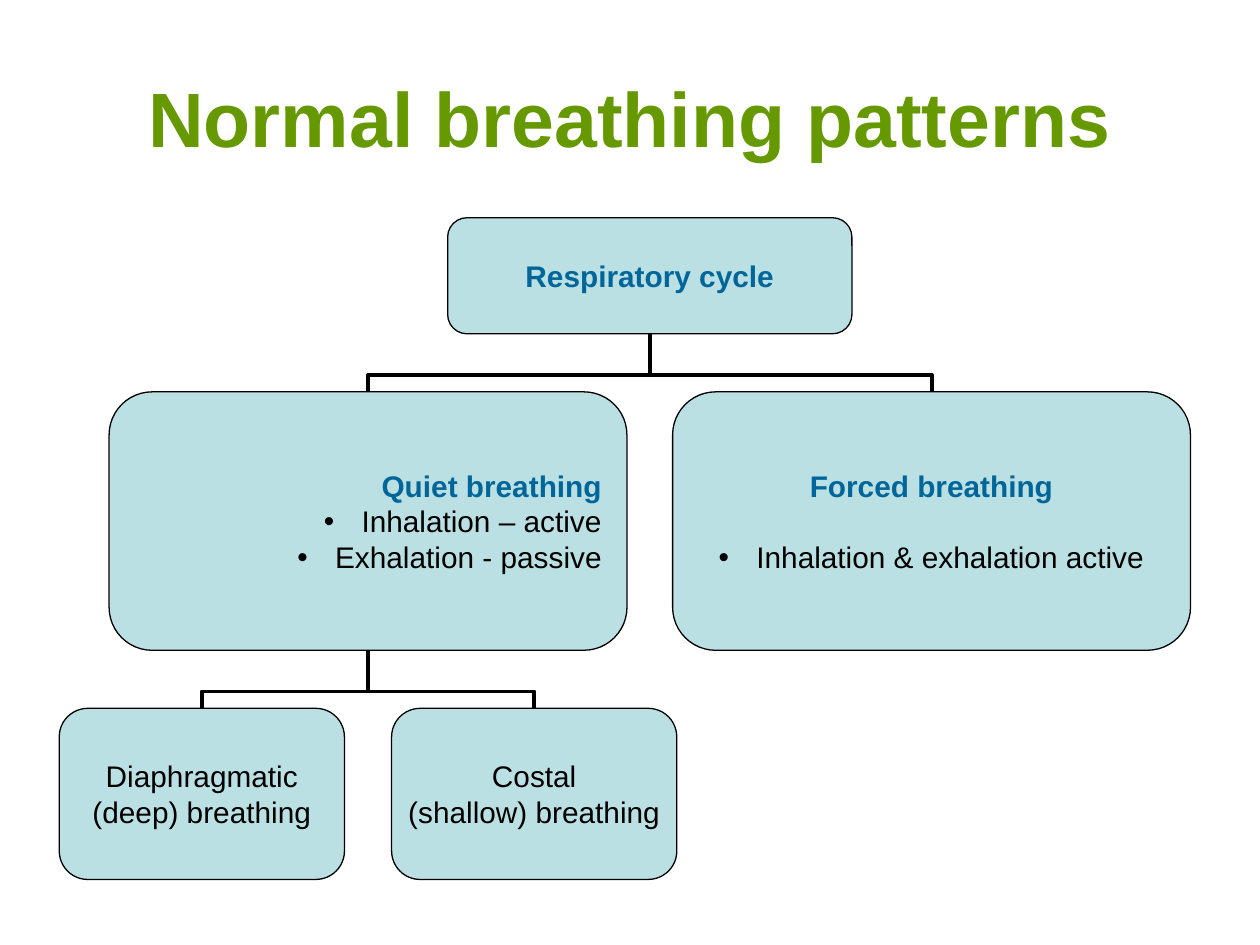
import pptx
import pptx.util
import pptx.dml.color
import pptx.enum.shapes
import pptx.enum.text
import pptx.oxml.ns
import lxml.etree

Cm, Pt = pptx.util.Cm, pptx.util.Pt
ALIGN = pptx.enum.text.PP_ALIGN
qn = pptx.oxml.ns.qn

THEME = {
    "font": "Arial", "title_size": 44, "body_size": 17,
    "title": "669900", "heading": "006699", "text": "000000",
    "box": "BBE0E3", "line": "000000",
}

TITLE = "Normal breathing patterns"

# Each line is (role, text); sizes and centres are in centimetres.
NODES = {
    "cycle": {"level": 0, "center": 13.1, "align": ALIGN.CENTER,
              "lines": [("heading", "Respiratory cycle")]},
    "quiet": {"level": 1, "center": 7.42, "align": ALIGN.RIGHT, "parent": "cycle",
              "lines": [("heading", "Quiet breathing"),
                        ("bullet", "Inhalation – active"),
                        ("bullet", "Exhalation - passive")]},
    "forced": {"level": 1, "center": 18.78, "align": ALIGN.CENTER, "parent": "cycle",
               "gap": 20.5,
               "lines": [("heading", "Forced breathing"),
                         ("bullet", "Inhalation & exhalation active")]},
    "diaphragmatic": {"level": 2, "center": 4.07, "align": ALIGN.CENTER, "parent": "quiet",
                      "lines": [("text", "Diaphragmatic"), ("text", "(deep) breathing")]},
    "costal": {"level": 2, "center": 10.77, "align": ALIGN.CENTER, "parent": "quiet",
               "lines": [("text", "Costal"), ("text", "(shallow) breathing")]},
}
LEVEL_SIZES = [(8.15, 2.34), (10.44, 5.21), (5.75, 3.45)]
FIRST_TOP = 4.39
LEVEL_GAP = 1.17
ELBOW_SHARE = 0.29
BULLET_INDENT = 0.76


def color(role):
    return pptx.dml.color.RGBColor.from_string(THEME[role])


def level_top(level):
    return FIRST_TOP + sum(height + LEVEL_GAP for _, height in LEVEL_SIZES[:level])


def write(paragraph, text, size, role, bold):
    run = paragraph.add_run()
    run.text = text
    run.font.name = THEME["font"]
    run.font.size = Pt(size)
    run.font.bold = bold
    run.font.color.rgb = color(role)


def add_bullet(paragraph):
    properties = paragraph._p.get_or_add_pPr()
    indent = Cm(BULLET_INDENT)
    properties.set("marL", str(indent))
    properties.set("indent", str(-indent))
    lxml.etree.SubElement(properties, qn("a:buFont"), typeface=THEME["font"])
    lxml.etree.SubElement(properties, qn("a:buChar"), char="•")


def add_title(slide):
    frame = slide.shapes.add_textbox(Cm(1.27), Cm(0.76), Cm(22.86), Cm(3.18)).text_frame
    frame.word_wrap = True
    frame.vertical_anchor = pptx.enum.text.MSO_ANCHOR.MIDDLE
    frame.paragraphs[0].alignment = ALIGN.CENTER
    write(frame.paragraphs[0], TITLE, THEME["title_size"], "title", True)


def add_branch(slide, child, parent):
    """Draw an elbow from the child's top to the parent's bottom.

    The elbow preset starts sideways, so its frame is laid out with width and
    height swapped and then turned by a quarter.
    """
    top = level_top(child["level"])
    run, rise = abs(child["center"] - parent["center"]), LEVEL_GAP
    middle_x = (child["center"] + parent["center"]) / 2
    middle_y = top - rise / 2
    on_left = child["center"] < parent["center"]
    half = rise / 2 if on_left else -rise / 2
    branch = slide.shapes.add_connector(
        pptx.enum.shapes.MSO_CONNECTOR.ELBOW,
        Cm(middle_x + half), Cm(middle_y + run / 2),
        Cm(middle_x - half), Cm(middle_y - run / 2))
    properties = branch._element.spPr
    properties.find(qn("a:xfrm")).set("rot", str((90 if on_left else 270) * 60000))
    adjustments = properties.find(qn("a:prstGeom")).find(qn("a:avLst"))
    lxml.etree.SubElement(adjustments, qn("a:gd"), name="adj1",
                          fmla=f"val {round(ELBOW_SHARE * 100000)}")
    branch.line.color.rgb = color("line")
    branch.line.width = Pt(2.25)
    lxml.etree.SubElement(properties, qn("a:effectLst"))


def add_node(slide, node):
    width, height = LEVEL_SIZES[node["level"]]
    box = slide.shapes.add_shape(
        pptx.enum.shapes.MSO_SHAPE.ROUNDED_RECTANGLE,
        Cm(node["center"] - width / 2), Cm(level_top(node["level"])),
        Cm(width), Cm(height))
    box.shadow.inherit = False
    box.fill.solid()
    box.fill.fore_color.rgb = color("box")
    box.line.color.rgb = color("line")
    box.line.width = Pt(0.75)

    frame = box.text_frame
    frame.word_wrap = node["level"] < 2
    frame.vertical_anchor = pptx.enum.text.MSO_ANCHOR.MIDDLE
    for index, (role, text) in enumerate(node["lines"]):
        paragraph = frame.add_paragraph() if index else frame.paragraphs[0]
        paragraph.alignment = node["align"]
        if index and "gap" in node:
            paragraph.space_before = Pt(node["gap"])
        if role == "bullet":
            add_bullet(paragraph)
        heading = role == "heading"
        write(paragraph, text, THEME["body_size"], "heading" if heading else "text", heading)


def main():
    deck = pptx.Presentation()
    deck.slide_width, deck.slide_height = Cm(25.4), Cm(19.05)
    slide = deck.slides.add_slide(deck.slide_layouts[6])
    add_title(slide)
    for node in NODES.values():
        if "parent" in node:
            add_branch(slide, node, NODES[node["parent"]])
    for node in NODES.values():
        add_node(slide, node)
    deck.save("out.pptx")


if __name__ == "__main__":
    main()
